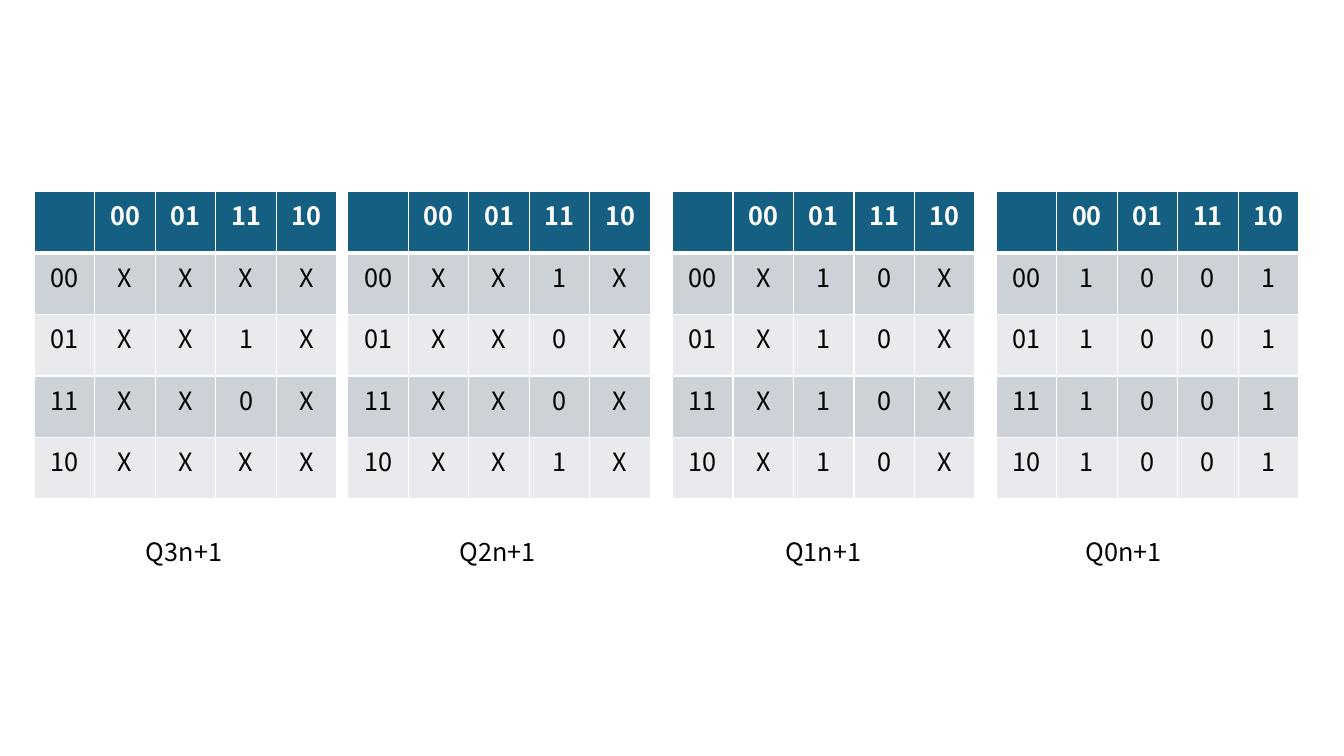
import pptx
import pptx.util
import pptx.dml.color
import pptx.enum.text
import pptx.oxml
import pptx.oxml.ns

PX = 9144  # EMU in one px, 100 px to the inch
THEME = {
    "font": "Noto Sans CJK SC", "size": 18,
    "head": "156082", "bands": ("CCD2D8", "E8EAED"),
    "light": "FFFFFF", "dark": "000000",
    "thin": 1, "thick": 3,
}
CODES = ("00", "01", "11", "10")
COL, ROW = 60, 61
TOP, DROP = 190, 337
# name, left, caption indent, one string per row
MAPS = (
    ("Q3n+1", 34, 101, ("XXXX", "XX1X", "XX0X", "XXXX")),
    ("Q2n+1", 345, 101, ("XX1X", "XX0X", "XX0X", "XX1X")),
    ("Q1n+1", 667, 102, ("X10X",) * 4),
    ("Q0n+1", 988, 79, ("1001",) * 4),
)


def px(*nums):
    return [pptx.util.Emu(n * PX) for n in nums]


def tint(code):
    return pptx.dml.color.RGBColor.from_string(code)


def write(frame, text, color, bold=False, align=None):
    para = frame.paragraphs[0]
    para.alignment = align
    run = para.add_run()
    run.text = text
    style = {"name": THEME["font"], "size": pptx.util.Pt(THEME["size"]), "bold": bold}
    for key, value in style.items():
        setattr(run.font, key, value)
    run.font.color.rgb = tint(color)


def edge(cell, sides):
    props = cell._tc.get_or_add_tcPr()
    for side, width in sides.items():
        props.append(pptx.oxml.parse_xml(
            f'<a:ln{side} {pptx.oxml.ns.nsdecls("a")} w="{pptx.util.Pt(width)}">'
            f'<a:solidFill><a:srgbClr val="{THEME["light"]}"/></a:solidFill>'
            f'</a:ln{side}>'))


def grid(slide, left, top, rows):
    lines = [("", *CODES)] + [(code, *row) for code, row in zip(CODES, rows)]
    count = len(lines)
    table = slide.shapes.add_table(
        count, count, *px(left, top, COL * count, ROW * count)).table
    for r, line in enumerate(lines):
        head = r == 0
        back = THEME["head"] if head else THEME["bands"][(r - 1) % 2]
        sides = dict.fromkeys("LRTB", THEME["thin"])
        # The rule under the header is shared by two rows
        if r < 2:
            sides["B" if head else "T"] = THEME["thick"]
        for c, text in enumerate(line):
            cell = table.cell(r, c)
            edge(cell, sides)
            cell.fill.solid()
            cell.fill.fore_color.rgb = tint(back)
            if text:
                write(cell.text_frame, text, THEME["light" if head else "dark"],
                      head, pptx.enum.text.PP_ALIGN.CENTER)


def label(slide, left, top, name):
    frame = slide.shapes.add_textbox(*px(left, top, 97, 40)).text_frame
    form = {"word_wrap": False,
            "auto_size": pptx.enum.text.MSO_AUTO_SIZE.SHAPE_TO_FIT_TEXT}
    for key, value in form.items():
        setattr(frame, key, value)
    write(frame, name, THEME["dark"])


def main():
    deck = pptx.Presentation()
    deck.slide_width, deck.slide_height = px(1333, 750)
    slide = deck.slides.add_slide(deck.slide_layouts[6])
    # Four maps, each with its caption below
    for name, left, lead, rows in MAPS:
        grid(slide, left, TOP, rows)
        label(slide, left + lead, TOP + DROP, name)
    deck.save("out.pptx")


if __name__ == "__main__":
    main()
